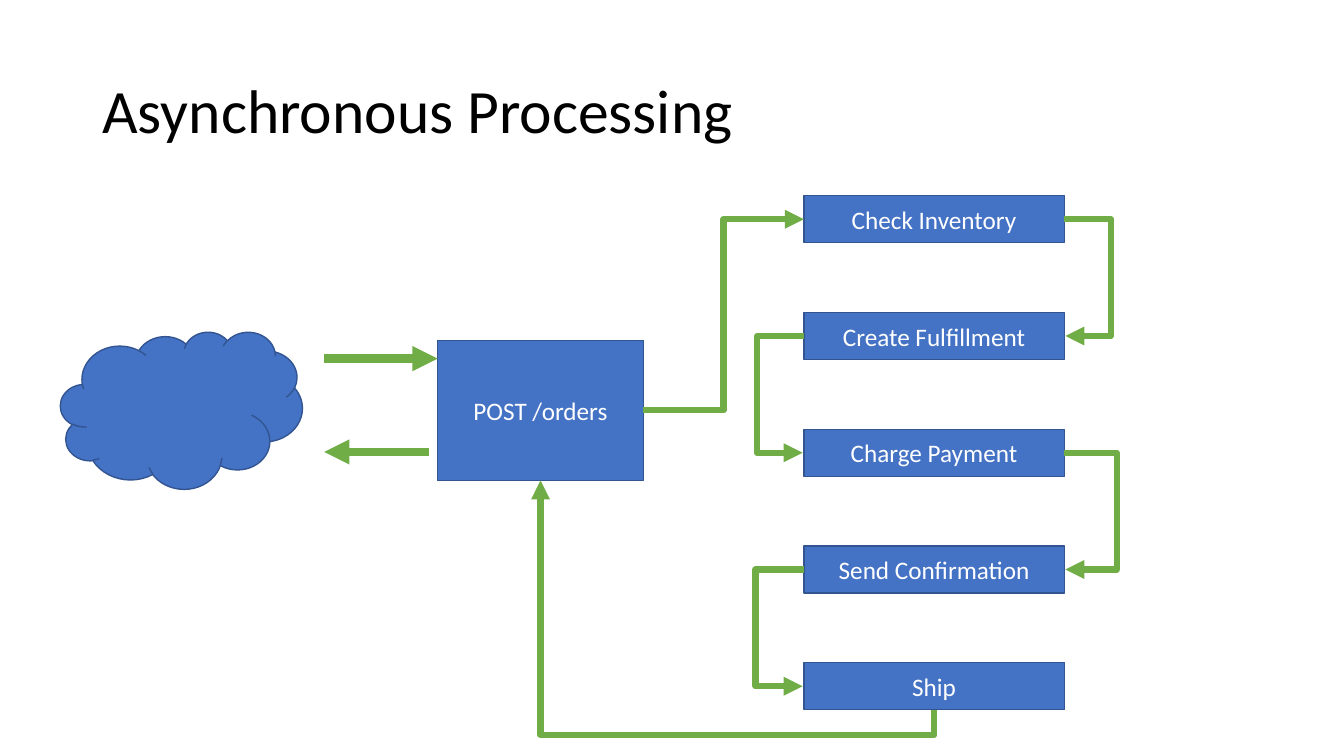
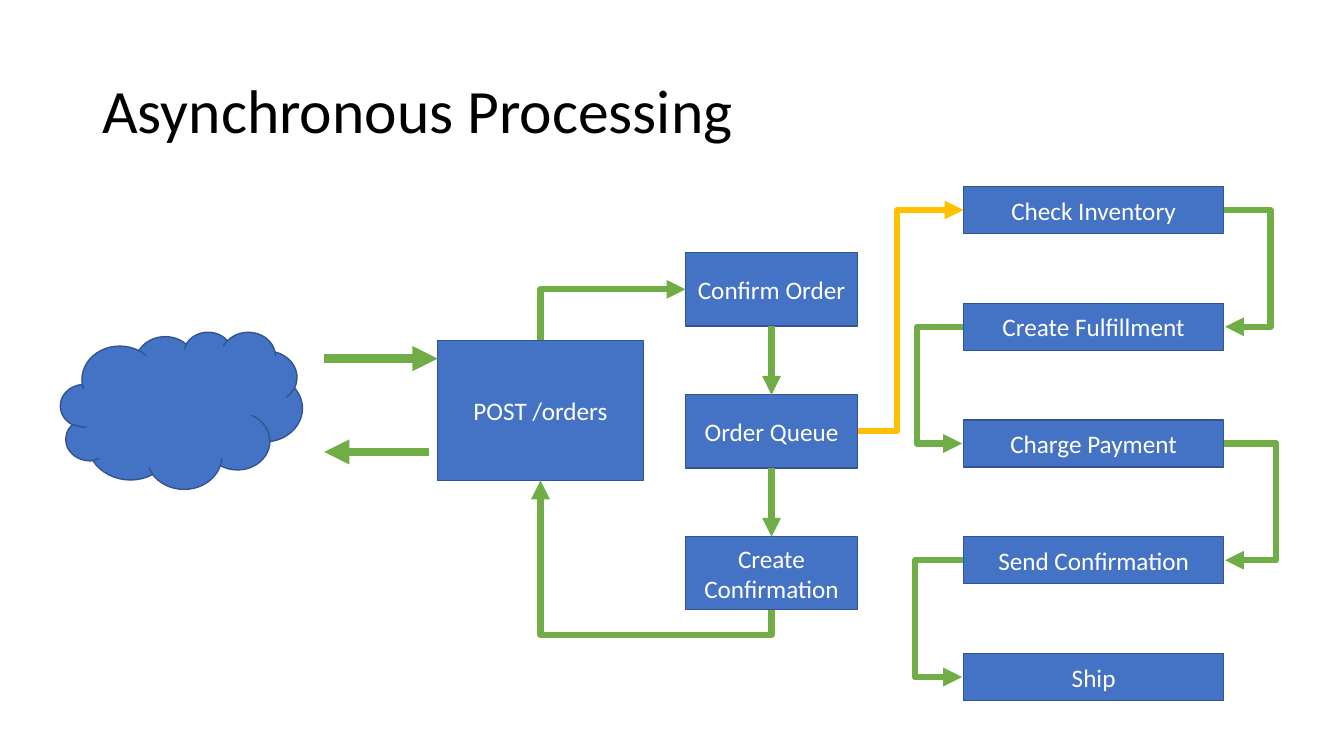
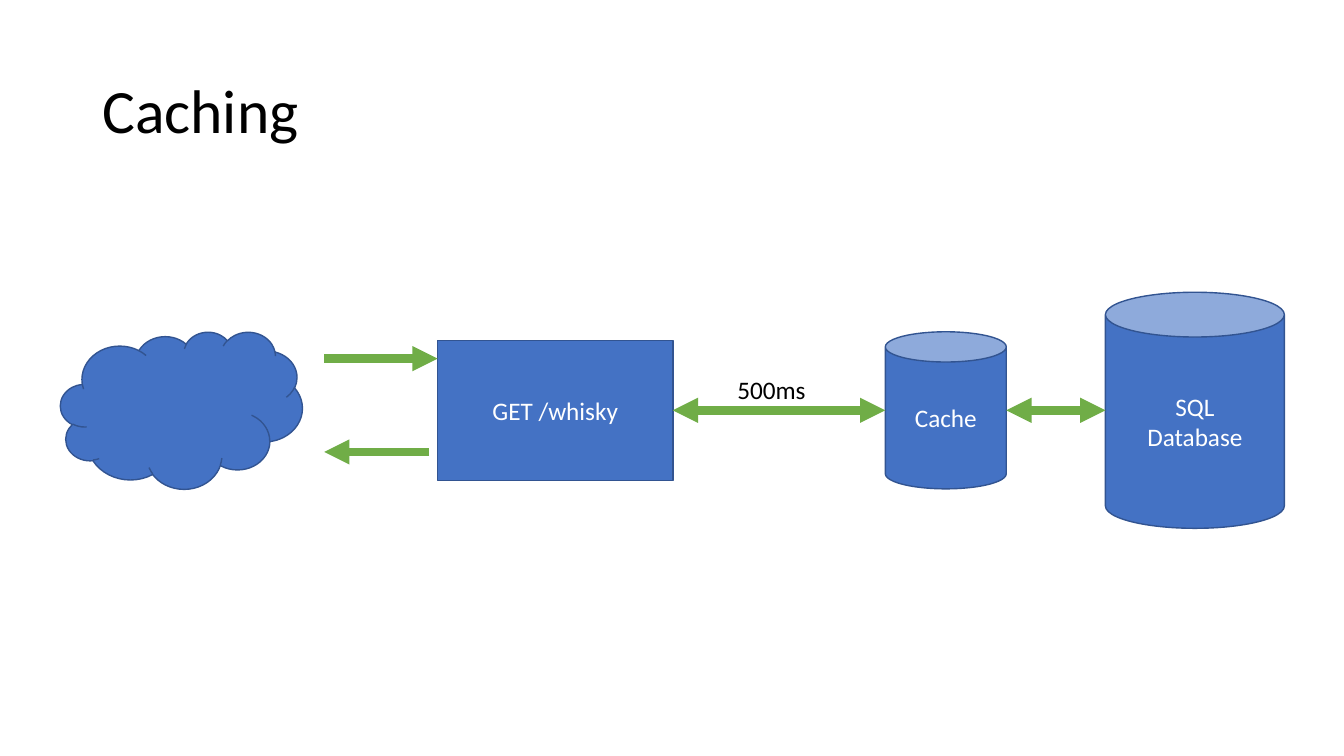
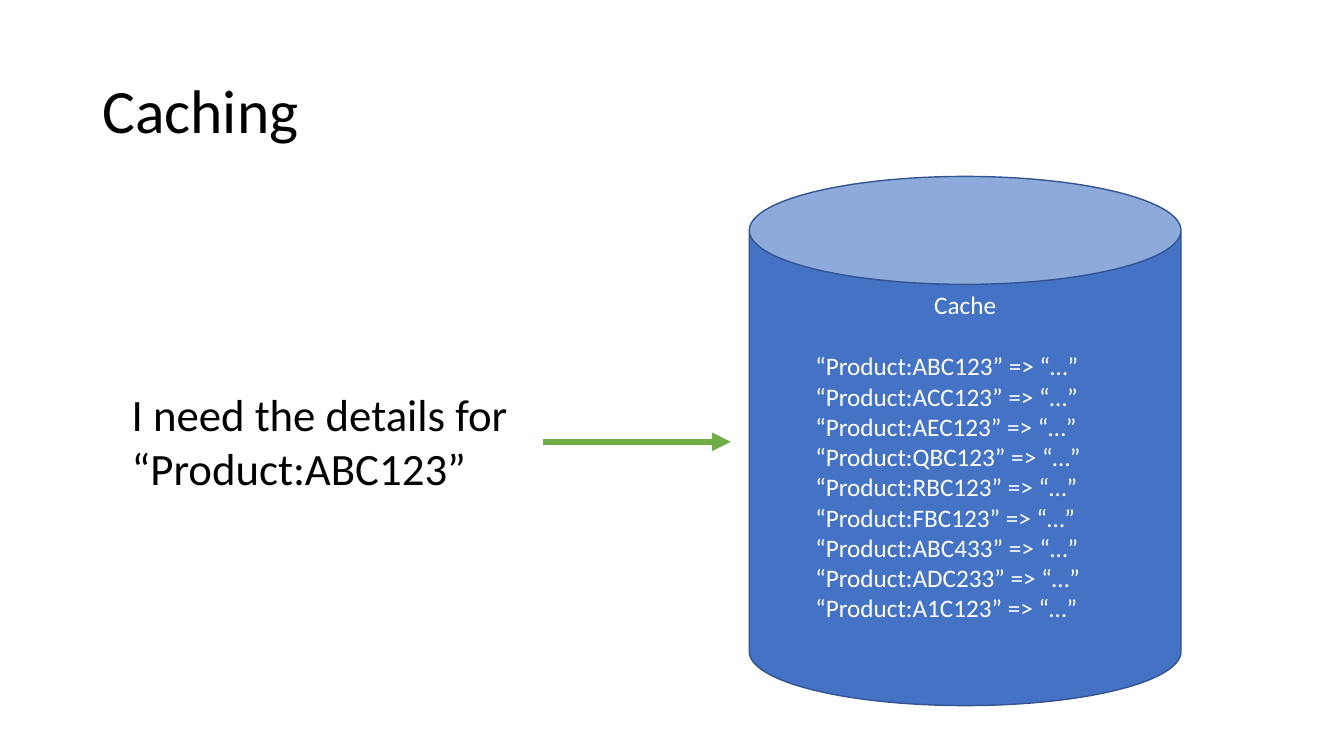
from dataclasses import dataclass

from lxml.etree import SubElement
from pptx import Presentation
from pptx.dml.color import RGBColor as Color
from pptx.enum.shapes import MSO_CONNECTOR as Connector
from pptx.enum.shapes import MSO_SHAPE as Preset
from pptx.enum.text import MSO_ANCHOR as Anchor
from pptx.enum.text import PP_ALIGN as Align
from pptx.oxml.ns import qn
from pptx.util import Emu, Inches, Pt

COLUMNS, ROWS = 160, 90
CELL = Inches(1) // 12


@dataclass(frozen=True)
class Theme:
    font: str = "Calibri"
    fill: str = "4472C4"
    outline: str = "325491"
    arrow: str = "70AD47"
    queue_arrow: str = "FFC000"
    dark: str = "000000"
    light: str = "FFFFFF"
    title_size: int = 44
    question_size: int = 32
    body_size: int = 18
    outline_width: float = 1
    thin: float = 4.5
    thick: float = 6


THEME = Theme()


@dataclass(frozen=True)
class Box:
    left: float
    top: float
    width: float
    height: float

    def point(self, across, down):
        return self.left + across * self.width, self.top + down * self.height

    def inside(self, left, top, width, height):
        return Box(*self.point(left, top), width * self.width, height * self.height)

    def shift(self, columns=0, rows=0):
        return Box(self.left + columns, self.top + rows, self.width, self.height)

    def emu(self):
        return [cells(value) for value in (self.left, self.top, self.width, self.height)]


TITLE = Box(11, 4.8, 138, 17.4)
CLOUD = Box(7.2, 39.5, 28.8, 18.7)
POST = Box(52.1, 40.5, 24.5, 16.7)
GET = Box(52.1, 40.5, 28, 16.7)
STEP_NAMES = ["Check Inventory", "Create Fulfillment", "Charge Payment", "Send Confirmation", "Ship"]
STAGE_NAMES = ["Confirm Order", "Order Queue", "Create Confirmation"]
STEP_PITCH = 13.9
STAGE_PITCH = 16.9
LOOP_REACHES = [5.5, -5.5, 6.2, -5.7]
PRODUCTS = ["ABC123", "ACC123", "AEC123", "QBC123", "RBC123", "FBC123", "ABC433", "ADC233", "A1C123"]


def cells(value):
    return Emu(round(value * CELL))


def write_text(shape, lines, size=THEME.body_size, color=THEME.dark,
               align=Align.LEFT, anchor=Anchor.TOP, spacing=None):
    frame = shape.text_frame
    frame.word_wrap = True
    frame.vertical_anchor = anchor
    for index, line in enumerate(lines):
        paragraph = frame.add_paragraph() if index else frame.paragraphs[0]
        paragraph.alignment = align
        paragraph.line_spacing = spacing
        run = paragraph.add_run()
        run.text = line
        run.font.name = THEME.font
        run.font.size = Pt(size)
        run.font.color.rgb = Color.from_string(color)


def add_text(slide, box, *lines, **text_format):
    write_text(slide.shapes.add_textbox(*box.emu()), lines, **text_format)


def add_node(slide, box, *lines, preset=Preset.RECTANGLE, anchor=Anchor.MIDDLE):
    shape = slide.shapes.add_shape(preset, *box.emu())
    shape.shadow.inherit = False
    shape.fill.solid()
    shape.fill.fore_color.rgb = Color.from_string(THEME.fill)
    shape.line.color.rgb = Color.from_string(THEME.outline)
    shape.line.width = Pt(THEME.outline_width)
    write_text(shape, lines, color=THEME.light, align=Align.CENTER, anchor=anchor)
    return shape


def add_arrow(slide, start, end, kind=Connector.STRAIGHT, width=THEME.thin,
              color=THEME.arrow, both=False):
    connector = slide.shapes.add_connector(kind, *map(cells, (*start, *end)))
    connector.line.color.rgb = Color.from_string(color)
    connector.line.width = Pt(width)
    line = connector.line._get_or_add_ln()
    for tag in ("a:headEnd", "a:tailEnd") if both else ("a:tailEnd",):
        SubElement(line, qn(tag), type="triangle")
    SubElement(connector.element.spPr, qn("a:effectLst"))
    return connector


def add_elbow(slide, start, end, bend=None, vertical=False, color=THEME.arrow):
    axis = 1 if vertical else 0
    drawn = [start, end]
    if vertical:
        center_x, center_y = ((a + b) / 2 for a, b in zip(start, end))
        drawn = [(center_x + y - center_y, center_y - x + center_x) for x, y in drawn]
    connector = add_arrow(slide, *drawn, kind=Connector.ELBOW, color=color)
    properties = connector.element.spPr
    if vertical:
        properties.find(qn("a:xfrm")).set("rot", "5400000")
    geometry = properties.find(qn("a:prstGeom"))
    if bend is None:
        geometry.set("prst", "bentConnector2")
        return
    guides = geometry.find(qn("a:avLst"))
    if guides is None:
        guides = SubElement(geometry, qn("a:avLst"))
    share = round(100000 * (bend - start[axis]) / (end[axis] - start[axis]))
    SubElement(guides, qn("a:gd"), name="adj1", fmla=f"val {share}")


def start_slide(presentation, title):
    slide = presentation.slides.add_slide(presentation.slide_layouts[6])
    add_text(slide, TITLE, title, size=THEME.title_size, anchor=Anchor.MIDDLE, spacing=0.9)
    return slide


def add_client(slide, box, endpoint, label):
    add_node(slide, box, preset=Preset.CLOUD)
    node = add_node(slide, endpoint, label)
    near = box.left + box.width + 2.6
    request, response = box.top + 3.2, box.top + 14.3
    add_arrow(slide, (near, request), (endpoint.left, request), width=THEME.thick)
    add_arrow(slide, (endpoint.left - 1, response), (near, response), width=THEME.thick)
    return node


def add_steps(slide, first):
    boxes = [first.shift(rows=index * STEP_PITCH) for index in range(len(STEP_NAMES))]
    for box, name in zip(boxes, STEP_NAMES):
        add_node(slide, box, name)
    for upper, lower, reach in zip(boxes, boxes[1:], LOOP_REACHES):
        side = 1 if reach > 0 else 0
        edge, row = upper.point(side, 0.5)
        tip = edge + (0.15 if side else -0.15)
        add_elbow(slide, (edge, row), (tip, lower.point(side, 0.5)[1]), bend=edge + reach)
    return boxes


def add_stages(slide, first):
    boxes = [first.shift(rows=index * STAGE_PITCH) for index in range(len(STAGE_NAMES))]
    nodes = [add_node(slide, box, name) for box, name in zip(boxes, STAGE_NAMES)]
    for index in range(len(boxes) - 1):
        arrow = add_arrow(slide, boxes[index].point(0.5, 1), boxes[index + 1].point(0.5, 0))
        arrow.begin_connect(nodes[index], 2)
        arrow.end_connect(nodes[index + 1], 0)
    return boxes


def add_return(slide, box, endpoint):
    start = box.point(0.5, 1)
    add_elbow(slide, start, endpoint.point(0.5, 1), bend=start[1] + 3, vertical=True)


def build_direct_processing(presentation):
    slide = start_slide(presentation, "Asynchronous Processing")
    add_client(slide, CLOUD, POST, "POST /orders")
    steps = add_steps(slide, Box(95.7, 23.3, 31, 5.6))
    start, end = POST.point(1, 0.5), steps[0].point(0, 0.5)
    add_elbow(slide, start, end, bend=(start[0] + end[0]) / 2)
    add_return(slide, steps[-1], POST)


def build_queued_processing(presentation):
    slide = start_slide(presentation, "Asynchronous Processing")
    add_client(slide, CLOUD, POST, "POST /orders")
    steps = add_steps(slide, Box(114.7, 22.2, 31, 5.6))
    confirm, queue, confirmation = add_stages(slide, Box(81.6, 30.1, 20.5, 8.7))
    add_elbow(slide, POST.point(0.5, 0), confirm.point(0, 0.5), vertical=True)
    add_return(slide, confirmation, POST)
    start = queue.point(1, 0.5)
    add_elbow(slide, start, steps[0].point(0, 0.5), bend=start[0] + 4.7, color=THEME.queue_arrow)


def build_cache_path(presentation):
    slide = start_slide(presentation, "Caching")
    endpoint = add_client(slide, CLOUD, GET, "GET /whisky")
    cache, database = Box(105.4, 39.5, 14.4, 18.7), Box(131.6, 34.8, 21.3, 28.1)
    add_node(slide, database, "SQL", "Database", preset=Preset.CAN)
    add_node(slide, cache, "Cache", preset=Preset.CAN)
    row = GET.point(1, 0.5)[1]
    for left, right in ((GET, cache), (cache, database)):
        arrow = add_arrow(slide, (left.point(1, 0)[0], row), (right.left, row),
                          width=THEME.thick, both=True)
        if left is GET:
            arrow.begin_connect(endpoint, 3)
    add_text(slide, Box(86.6, 44, 13.4, 4.8), "500ms")


def build_cache_lookup(presentation):
    slide = start_slide(presentation, "Caching")
    cache = Box(89.2, 21, 51.4, 63)
    add_node(slide, cache, "Cache", preset=Preset.CAN, anchor=Anchor.TOP)
    entries = [f"“Product:{product}” => “…”" for product in PRODUCTS]
    add_text(slide, cache.inside(0.13, 0.32, 0.73, 0.65), *entries, color=THEME.light)
    question = Box(14.5, 45.5, 49, 14.2)
    add_text(slide, question, "I need the details for “Product:ABC123”", size=THEME.question_size)
    edge, row = question.point(1, 0.5)
    add_arrow(slide, (edge + 1.2, row), (cache.left - 2.2, row))


def main():
    presentation = Presentation()
    presentation.slide_width = cells(COLUMNS)
    presentation.slide_height = cells(ROWS)
    for build in (build_direct_processing, build_queued_processing,
                  build_cache_path, build_cache_lookup):
        build(presentation)
    presentation.save("out.pptx")


if __name__ == "__main__":
    main()
